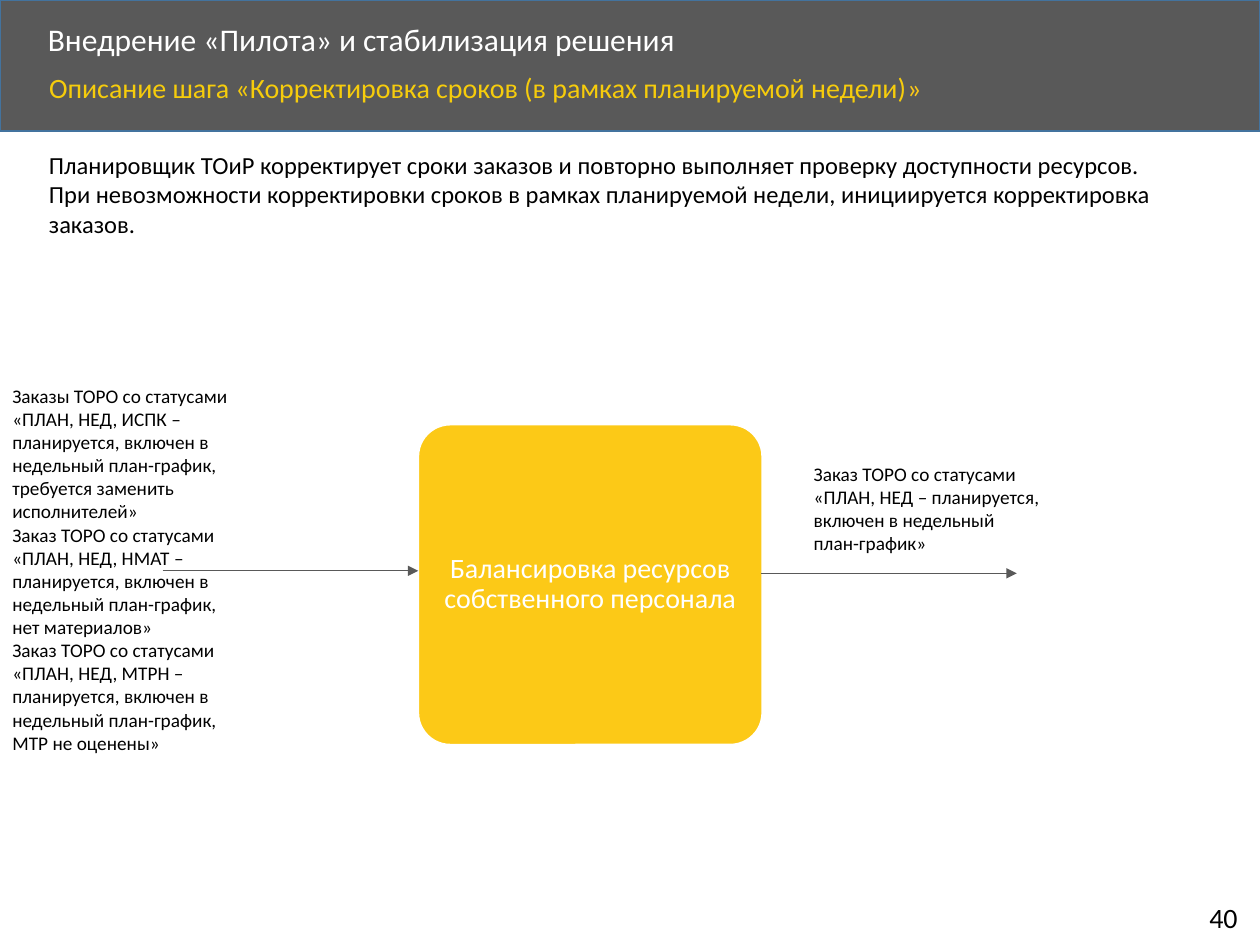
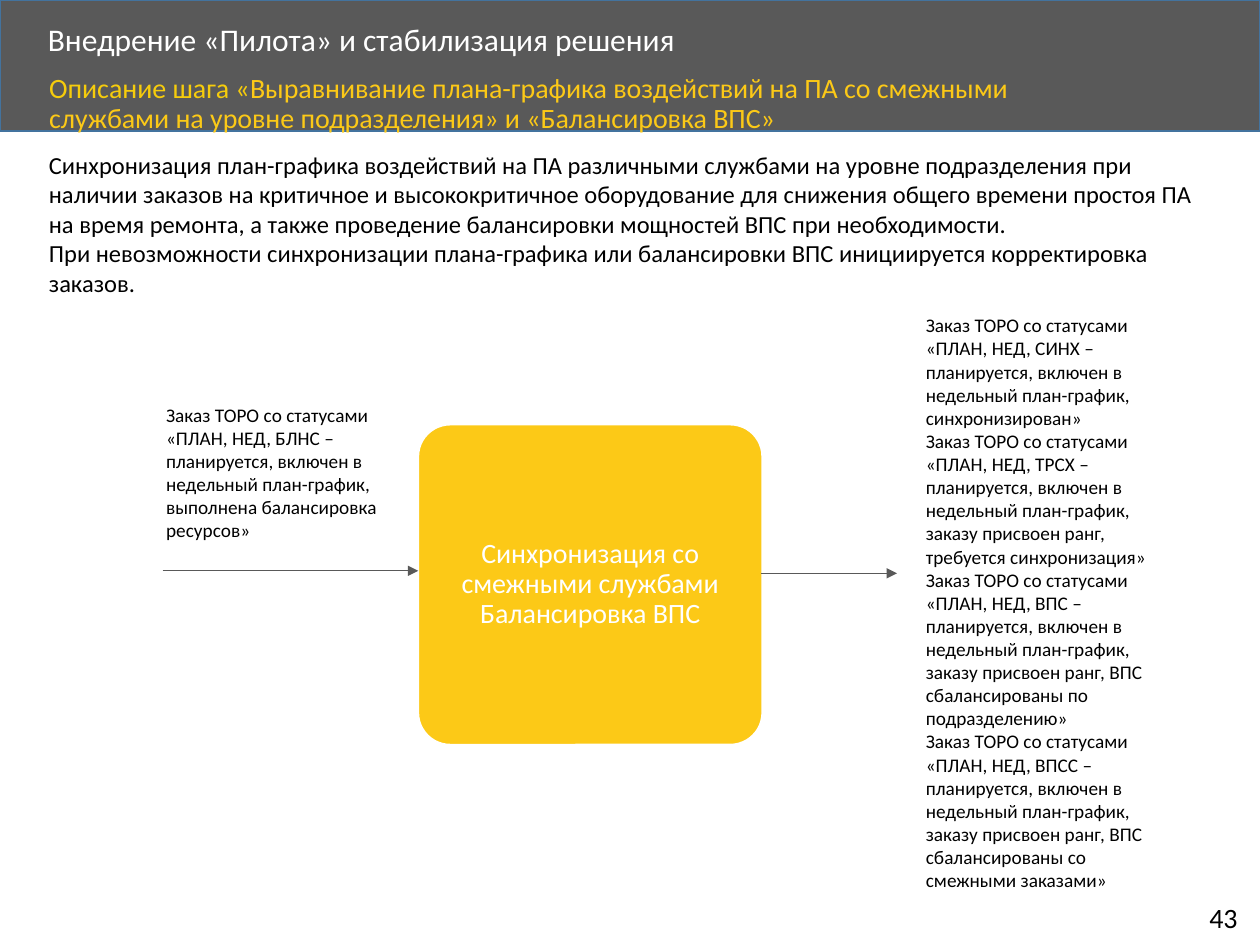
from lxml import etree
from pptx import Presentation
from pptx.dml.color import RGBColor
from pptx.enum import shapes, text
from pptx.oxml import ns
from pptx.util import Inches, Pt

GREY, YELLOW, GOLD = "595959", "FCC917", "F6CC0C"
WHITE, BLACK, BLUE = "FFFFFF", "000000", "43739E"
TITLE = "Внедрение «Пилота» и стабилизация решения"

steps = [
    {
        "number": "40",
        "subtitle": "Описание шага «Корректировка сроков (в рамках планируемой недели)|»",
        "summary": [
            "Планировщик ТОиР корректирует сроки заказов и повторно выполняет проверку доступности ресурсов.",
            "При невозможности корректировки сроков в рамках планируемой недели, инициируется корректировка заказов.",
        ],
        "summary_height": 0.81,
        "process": "Балансировка ресурсов собственного персонала",
        "output_arrow_end": 8.07,
        "input_place": (0, 3, 2, 3.06),
        "inputs": [
            "Заказы ТОРО со статусами «ПЛАН, НЕД, ИСПК – планируется, включен в недельный план-график, требуется заменить исполнителей»",
            "Заказ ТОРО со статусами «ПЛАН, НЕД, НМАТ – планируется, включен в недельный план-график, нет материалов»",
            "Заказ ТОРО со статусами «ПЛАН, НЕД, МТРН – планируется, включен в недельный план-график, МТР не оценены»",
        ],
        "output_place": (6.36, 3.62, 2, 0.84),
        "outputs": [
            "Заказ ТОРО со статусами «ПЛАН, НЕД – планируется, включен в недельный план-график»",
        ],
    },
    {
        "number": "43",
        "subtitle": "Описание шага «|Выравнивание плана-графика воздействий на ПА со смежными службами на уровне подразделения» и «Балансировка ВПС»",
        "summary": [
            "Синхронизация план-графика воздействий на ПА различными службами на уровне подразделения при наличии заказов на критичное и высококритичное оборудование для снижения общего времени простоя ПА на время ремонта, а также проведение балансировки мощностей ВПС при необходимости.",
            "При невозможности синхронизации плана-графика или балансировки ВПС инициируется корректировка заказов.",
        ],
        "summary_height": 1.28,
        "process": "Синхронизация со смежными службами\nБалансировка ВПС",
        "output_arrow_end": 7.12,
        "input_place": (1.22, 3.15, 2, 1.21),
        "inputs": [
            "Заказ ТОРО со статусами «ПЛАН, НЕД, БЛНС – планируется, включен в недельный план-график, выполнена балансировка ресурсов»",
        ],
        "output_place": (7.25, 2.44, 2, 4.73),
        "outputs": [
            "Заказ ТОРО со статусами «ПЛАН, НЕД, СИНХ – планируется, включен в недельный план-график, синхронизирован»",
            "Заказ ТОРО со статусами «ПЛАН, НЕД, ТРСХ – планируется, включен в недельный план-график, заказу присвоен ранг, требуется синхронизация»",
            "Заказ ТОРО со статусами «ПЛАН, НЕД, ВПС – планируется, включен в недельный план-график, заказу присвоен ранг, ВПС сбалансированы по подразделению»",
            "Заказ ТОРО со статусами «ПЛАН, НЕД, ВПСС – планируется, включен в недельный план-график, заказу присвоен ранг, ВПС сбалансированы со смежными заказами»",
        ],
    },
]


def paint(color_format, color):
    color_format.rgb = RGBColor.from_string(color)


def write(box, paragraphs, size, colors=(BLACK,), place=None, wrap=True,
          anchor=text.MSO_ANCHOR.TOP, align=text.PP_ALIGN.LEFT, spacing=1.0):
    if place:
        box.left, box.top, box.width, box.height = map(Inches, place)
    frame = box.text_frame
    frame.auto_size = text.MSO_AUTO_SIZE.NONE
    frame.word_wrap = wrap
    frame.vertical_anchor = anchor
    for index, line in enumerate(paragraphs):
        para = frame.paragraphs[0] if index == 0 else frame.add_paragraph()
        if box.is_placeholder:
            properties = para._p.get_or_add_pPr()
            properties.set("marL", "0")
            properties.set("indent", "0")
            etree.SubElement(properties, ns.qn("a:buNone"))
        para.alignment = align
        para.line_spacing = spacing
        para.space_before = para.space_after = Pt(0)
        for part, color in zip(line.split("|"), colors):
            for row, words in enumerate(part.split("\n")):
                if row:
                    para.add_line_break()
                span = para.add_run()
                span.text = words
                span.font.name = "Calibri"
                span.font.size = Pt(size)
                paint(span.font.color, color)


deck = Presentation()
deck.slide_width, deck.slide_height = Inches(10), Inches(7.5)
layout = deck.slide_layouts[1]

for step in steps:
    page = deck.slides.add_slide(layout)

    if len(deck.slides) == 1:
        band = page.shapes.add_shape(shapes.MSO_SHAPE.RECTANGLE, 0, 0, Inches(10), Inches(1.04))
        band.shadow.inherit = False
        band.fill.solid()
        paint(band.fill.fore_color, GREY)
        paint(band.line.color, BLUE)
        band.line.width = Pt(1)
        layout.shapes._spTree.insert(2, band._element)

    write(page.shapes.title, [TITLE], 18, (WHITE,), place=(0.28, 0.14, 8.07, 0.38),
          anchor=text.MSO_ANCHOR.MIDDLE, spacing=0.9)
    write(page.placeholders[1], [step["subtitle"]], 16, (GOLD, YELLOW),
          place=(0.29, 0.54, 8.65, 0.45), spacing=0.9)

    process = page.shapes.add_shape(shapes.MSO_SHAPE.ROUNDED_RECTANGLE,
                                    Inches(3.32), Inches(3.37), Inches(2.73), Inches(2.54))
    process.adjustments[0] = 0.1
    process.shadow.inherit = False
    process.fill.solid()
    paint(process.fill.fore_color, YELLOW)
    paint(process.line.color, WHITE)
    process.line.width = Pt(1)
    process.text_frame.margin_left = process.text_frame.margin_right = Inches(0.07)
    write(process, [step["process"]], 16, (WHITE,), anchor=text.MSO_ANCHOR.MIDDLE,
          align=text.PP_ALIGN.CENTER, spacing=0.9)

    for start, end, height in ((1.29, 3.32, 4.53), (6.04, step["output_arrow_end"], 4.55)):
        arrow = page.shapes.add_connector(shapes.MSO_CONNECTOR.STRAIGHT, Inches(start),
                                          Inches(height), Inches(end), Inches(height))
        paint(arrow.line.color, GREY)
        arrow.line.width = Pt(0.5)
        etree.SubElement(arrow.line._get_or_add_ln(), ns.qn("a:tailEnd"), type="triangle")
        etree.SubElement(arrow._element.spPr, ns.qn("a:effectLst"))

    for paragraphs, size, place, wrap in (
        (step["inputs"], 11, step["input_place"], True),
        (step["outputs"], 11, step["output_place"], True),
        (step["summary"], 14, (0.29, 1.14, 9.46, step["summary_height"]), True),
        ([step["number"]], 16, (9.5, 7.1, 0.46, 0.37), False),
    ):
        box = page.shapes.add_textbox(0, 0, 0, 0)
        write(box, paragraphs, size, place=place, wrap=wrap)

deck.save("out.pptx")
